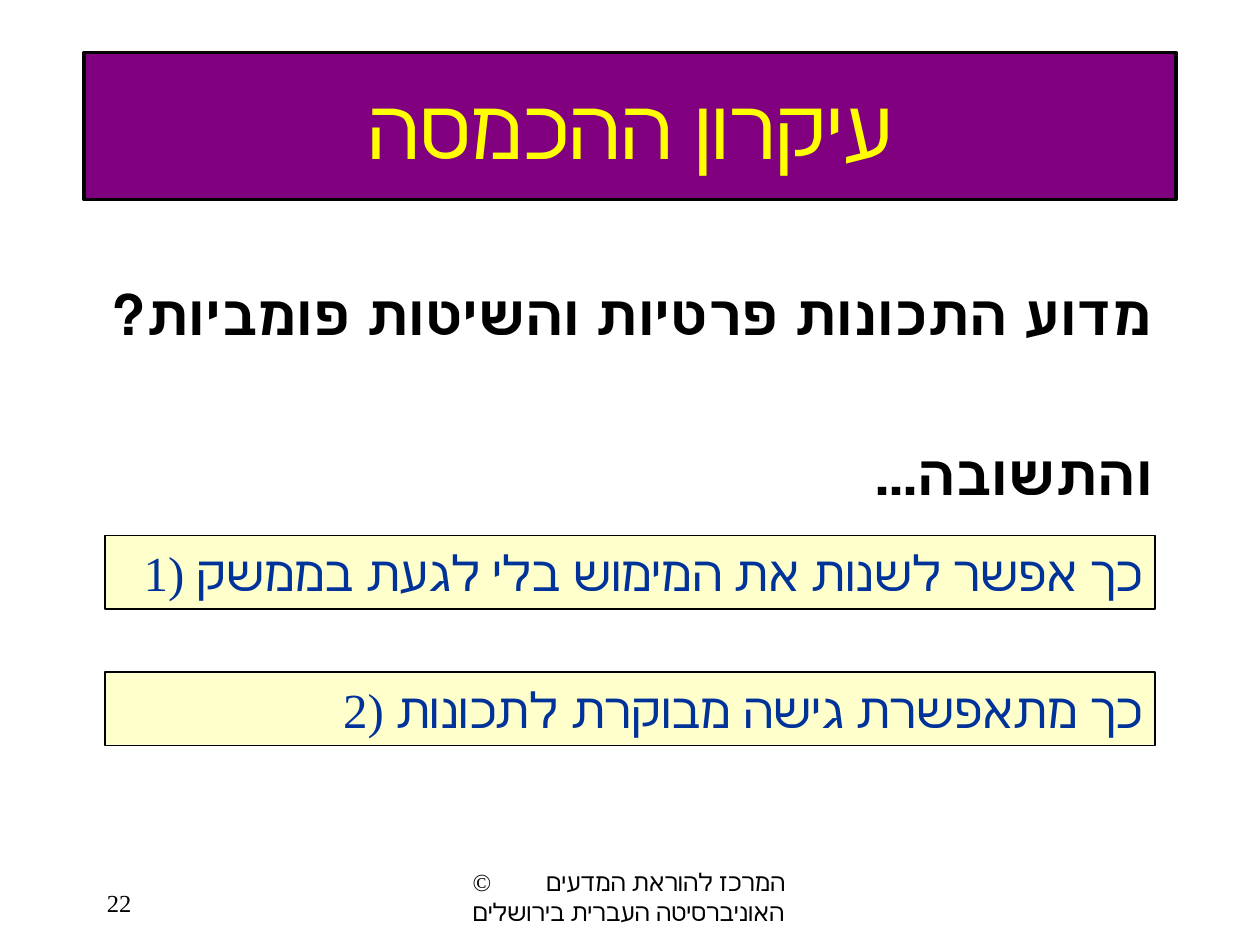
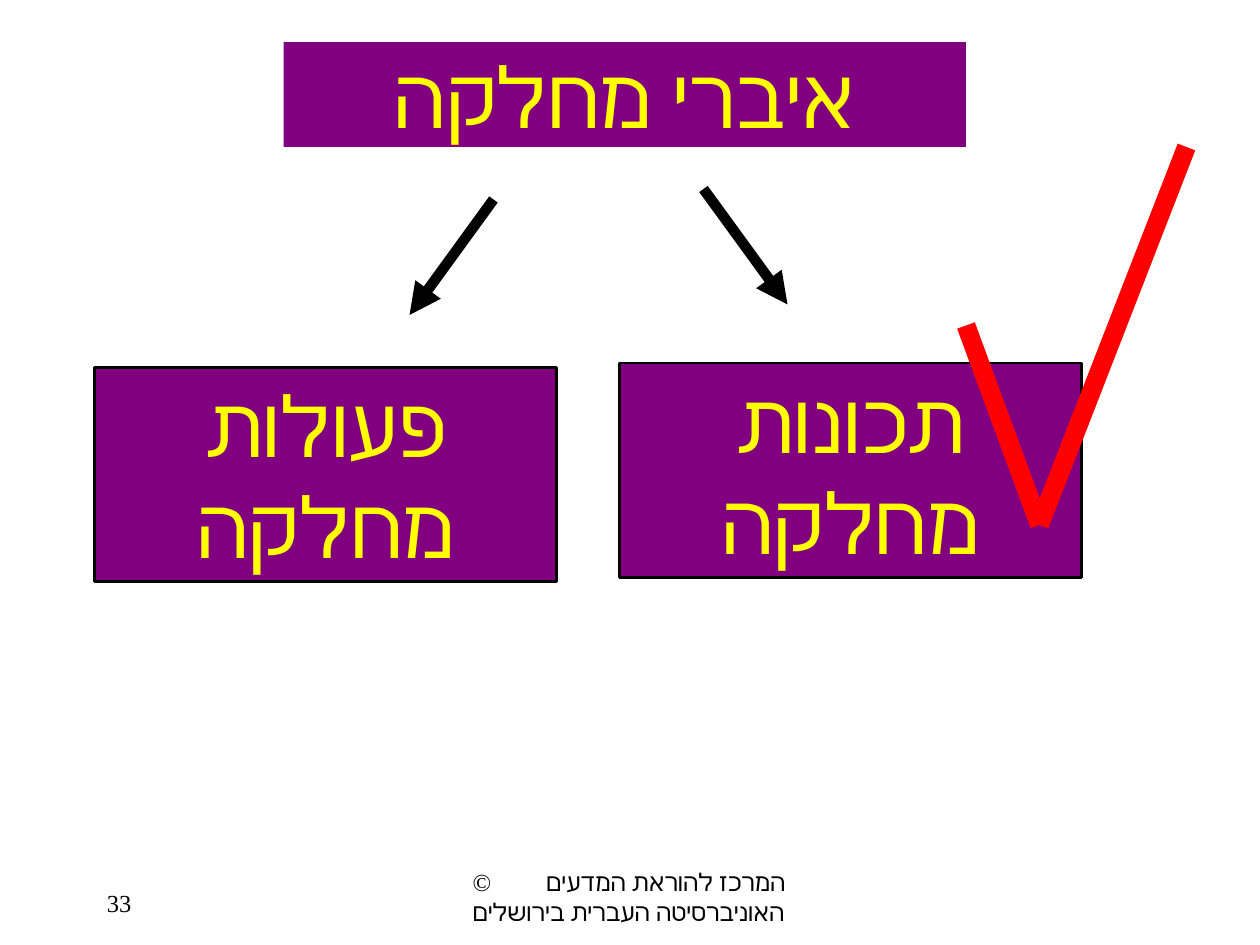
import pptx
import pptx.util
import pptx.dml.color
import pptx.enum.shapes
import pptx.enum.text
import pptx.oxml
from lxml import etree

Pt = pptx.util.Pt
RGB = pptx.dml.color.RGBColor
ALIGN = pptx.enum.text.PP_ALIGN
ANCHOR = pptx.enum.text.MSO_ANCHOR
RECT = pptx.enum.shapes.MSO_SHAPE.RECTANGLE
STRAIGHT = pptx.enum.shapes.MSO_CONNECTOR.STRAIGHT
qn = pptx.oxml.ns.qn

PURPLE = RGB(0x80, 0x00, 0x80)
YELLOW = RGB(0xFF, 0xFF, 0x00)
CREAM = RGB(0xFF, 0xFF, 0xCC)
NAVY = RGB(0x00, 0x33, 0x99)
RED = RGB(0xFF, 0x00, 0x00)
BLACK = RGB(0x00, 0x00, 0x00)
SERIF = "Times New Roman"


def write(shape, text, size=14, color=BLACK, font=SERIF, bold=False,
          align=ALIGN.LEFT, rtl=False, anchor=ANCHOR.TOP, gap=0):
    """Fill a shape with text, one paragraph a line, gap points apart."""
    frame = shape.text_frame
    frame.word_wrap = True
    frame.auto_size = pptx.enum.text.MSO_AUTO_SIZE.NONE
    frame.vertical_anchor = anchor
    frame.margin_left = frame.margin_right = Pt(7.2)
    frame.margin_top = frame.margin_bottom = Pt(3.6)
    frame.text = text
    for i, para in enumerate(frame.paragraphs):
        para.alignment = align
        para.space_before = Pt(gap if i else 0)
        para._p.get_or_add_pPr().set("rtl", str(int(rtl)))
        for run in para.runs:
            run.font.size = Pt(size)
            run.font.name = font
            run.font.bold = bold
            run.font.color.rgb = color


def draw(slide, start, end, color, width, arrow=False):
    line = slide.shapes.add_connector(STRAIGHT, *map(Pt, start + end))
    line.line.color.rgb = color
    line.line.width = Pt(width)
    if arrow:
        etree.SubElement(line.line._ln, qn("a:tailEnd"), type="triangle")
    etree.SubElement(line._element.spPr, qn("a:effectLst"))


deck = pptx.Presentation()
deck.slide_width, deck.slide_height = Pt(720), Pt(540)

# Shared frame: title band, footer and slide number
TITLES = [
    ("עיקרון ההכמסה", "Arial", (48, 30, 624, 84), "roundRect", 2, "22"),
    ("איברי מחלקה", SERIF, (162, 24, 390, 60), "rect", 0, "33"),
]
for text, font, box, form, edge, number in TITLES:
    slide = deck.slides.add_slide(deck.slide_layouts[5])
    title = slide.shapes.title
    title.left, title.top, title.width, title.height = map(Pt, box)
    geom = etree.SubElement(title._element.spPr, qn("a:prstGeom"), prst=form)
    guides = etree.SubElement(geom, qn("a:avLst"))
    if form == "roundRect":
        etree.SubElement(guides, qn("a:gd"), name="adj", fmla="val 12500")
    title.fill.solid()
    title.fill.fore_color.rgb = PURPLE
    if edge:
        title.line.color.rgb = BLACK
        title.line.width = Pt(edge)
    else:
        title.line.fill.background()
    write(title, text, size=48, color=YELLOW, font=font, align=ALIGN.CENTER,
          rtl=True, anchor=ANCHOR.MIDDLE)

    foot = slide.shapes.add_textbox(Pt(246), Pt(492), Pt(228), Pt(36))
    write(foot, "©\tהמרכז להוראת המדעים\vהאוניברסיטה העברית בירושלים")
    foot.text_frame.margin_left = Pt(24)
    tabs = etree.SubElement(foot.text_frame.paragraphs[0]._p.pPr, qn("a:tabLst"))
    etree.SubElement(tabs, qn("a:tab"), pos=str(Pt(42)), algn="l")

    page = slide.shapes.add_textbox(Pt(54), Pt(504), Pt(36), Pt(36))
    write(page, number)

why, parts = deck.slides

# Question and answers
ask = why.shapes.add_textbox(Pt(54), Pt(156), Pt(612), Pt(324))
write(ask, "מדוע התכונות פרטיות והשיטות פומביות?\nוהתשובה...",
      size=32, bold=True, align=ALIGN.RIGHT, rtl=True, gap=53)

# Filled boxes: slide, text, place, fill, edge, text format
answer = dict(size=28, color=NAVY, align=ALIGN.RIGHT, anchor=ANCHOR.MIDDLE)
member = dict(size=48, color=YELLOW, align=ALIGN.CENTER, rtl=True)
BOXES = [
    (why, "1) כך אפשר לשנות את המימוש בלי לגעת בממשק",
     (60, 306, 600, 42), CREAM, 0.75, answer),
    (why, "2) כך מתאפשרת גישה מבוקרת לתכונות",
     (60, 384, 600, 42), CREAM, 0.75, answer),
    (parts, "פעולות מחלקה", (54, 210, 264, 122.4), PURPLE, 1.5, member),
    (parts, "תכונות מחלקה", (354, 207.5, 264, 122.4), PURPLE, 1.5, member),
]
for slide, text, place, fill, edge, form in BOXES:
    box = slide.shapes.add_shape(RECT, *map(Pt, place))
    box.shadow.inherit = False
    box.fill.solid()
    box.fill.fore_color.rgb = fill
    box.line.color.rgb = BLACK
    box.line.width = Pt(edge)
    write(box, text, **form)

# Arrows from the title to its parts, then the check mark
for start, end in [((282, 114), (234, 180)), ((402, 108), (450, 174))]:
    draw(parts, start, end, BLACK, 6, arrow=True)
CHECK = [(552, 186), (594, 300), (678, 84)]
for start, end in zip(CHECK, CHECK[1:]):
    draw(parts, start, end, RED, 10.75)

deck.save("out.pptx")
